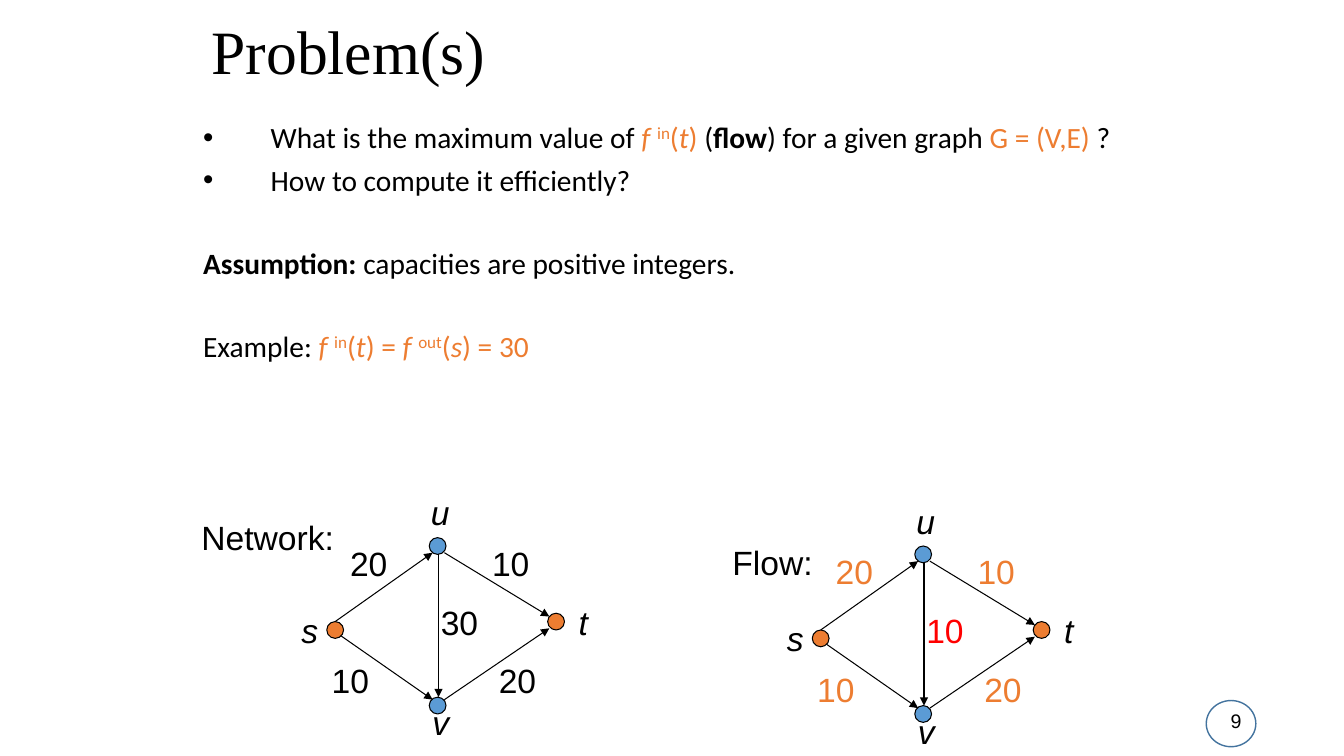
import pptx
import pptx.util
import pptx.dml.color
import pptx.enum.shapes
import pptx.enum.text
import pptx.oxml

BLACK, ORANGE, BLUE, RED, RING = "000000", "ED7D31", "5B9BD5", "FF0000", "43739E"
COLUMNS, ROWS = 160, 90
ARIAL = {"name": "Arial", "size": 24}
CALIBRI = {"name": "Calibri", "size": 21}
MATH = {"color": ORANGE}
VAR = {"color": ORANGE, "italic": True}
SUP = {"color": ORANGE, "raised": 30000}
BOLD = {"bold": True}

TITLE = [("Problem(s)", {"name": "Times New Roman", "size": 44})]
BODY = [
    (True, 0, [("What is the maximum value of ", {}), ("f ", VAR), ("in", SUP),
               ("(", MATH), ("t", VAR), (") ", MATH), ("(", {}), ("flow", BOLD),
               (") for a given graph ", {}), ("G = (V,E)", MATH), (" ?", {})]),
    (True, 7.5, [("How to compute it efficiently?", {})]),
    (False, 37, [("Assumption:", BOLD), (" capacities are positive integers.", {})]),
    (False, 36.5, [("Example: ", {}), ("f ", VAR), ("in", SUP), ("(", MATH), ("t", VAR),
                   (") = ", MATH), ("f ", VAR), ("out", SUP), ("(", MATH), ("s", VAR),
                   (") = 30", MATH)]),
]

NODES = {"s": (0, 10, ORANGE), "u": (12.2, 0, BLUE),
         "t": (26.3, 9, ORANGE), "v": (12.2, 19, BLUE)}
NAMES = {"s": (-4.2, 8, 4.4), "u": (11.2, -6, 4.7),
         "t": (28.8, 7, 3.5), "v": (11.4, 19, 4.4)}
EDGES = {
    "su": ((1, 10, 12.6, 1.8), (1.6, 0)),
    "ut": ((14, 1.8, 26.5, 9.4), (18.5, 0)),
    "sv": ((1.7, 11.7, 12.6, 19.3), (-0.6, 14)),
    "vt": ((14, 19.3, 26.5, 10.8), (19.3, 14)),
    "uv": ((13.3, 2, 13.3, 19), (12.4, 7)),
}
GRAPHS = [
    ("Network:", (22.8, 60.9, 18.4, 6.1), (38.9, 64),
     {"su": ("20", BLACK), "ut": ("10", BLACK), "sv": ("10", BLACK),
      "vt": ("20", BLACK), "uv": ("30", BLACK)}),
    ("Flow:", (86, 63.9, 12, 6), (96.7, 65),
     {"su": ("20", ORANGE), "ut": ("10", ORANGE), "sv": ("10", ORANGE),
      "vt": ("20", ORANGE), "uv": ("10", RED)}),
]

prs = pptx.Presentation()
prs.slide_width, prs.slide_height = pptx.util.Inches(13.33), pptx.util.Inches(7.5)
s = prs.slides.add_slide(prs.slide_layouts[6])


def rgb(value):
    """Turn a hex string into a colour."""
    return pptx.dml.color.RGBColor.from_string(value)


def cells(*box):
    """Turn alternating columns and rows into slide lengths."""
    units = (prs.slide_width / COLUMNS, prs.slide_height / ROWS)
    return [round(n * units[i % 2]) for i, n in enumerate(box)]


def add_xml(parent, tag, **attrs):
    """Append a drawing element with attributes."""
    child = parent.makeelement(pptx.oxml.ns.qn(tag), attrs)
    parent.append(child)
    return child


def add_runs(p, runs, base):
    """Write formatted runs into a paragraph."""
    for text, style in runs:
        r = p.add_run()
        r.text = text
        look = {"color": BLACK, **base, **style}
        r.font.color.rgb = rgb(look.pop("color"))
        raised = look.pop("raised", None)
        look["size"] = pptx.util.Pt(look["size"])
        for key, value in look.items():
            setattr(r.font, key, value)
        if raised:
            r.font._element.set("baseline", str(raised))


def add_text(box, runs=(), base=ARIAL, wrap=False, **paragraph):
    """Add a middle-anchored text box and return its frame."""
    tf = s.shapes.add_textbox(*cells(*box)).text_frame
    tf.word_wrap = wrap
    tf.vertical_anchor = pptx.enum.text.MSO_ANCHOR.MIDDLE
    if not wrap:
        tf.auto_size = pptx.enum.text.MSO_AUTO_SIZE.SHAPE_TO_FIT_TEXT
    p = tf.paragraphs[0]
    for key, value in paragraph.items():
        setattr(p, key, value)
    add_runs(p, runs, base)
    return tf


def add_circle(box, fill, line, weight):
    """Add an outlined ellipse, hollow when it has no fill."""
    sp = s.shapes.add_shape(pptx.enum.shapes.MSO_SHAPE.OVAL, *cells(*box))
    sp.shadow.inherit = False
    if fill:
        sp.fill.solid()
        sp.fill.fore_color.rgb = rgb(fill)
    else:
        sp.fill.background()
    sp.line.color.rgb = rgb(line)
    sp.line.width = pptx.util.Pt(weight)


def add_arrow(ends):
    """Add a thin black arrow between two points."""
    sp = s.shapes.add_connector(pptx.enum.shapes.MSO_CONNECTOR.STRAIGHT, *cells(*ends))
    sp.line.color.rgb = rgb(BLACK)
    sp.line.width = pptx.util.Pt(0.75)
    add_xml(sp.line._get_or_add_ln(), "a:tailEnd", type="triangle")
    add_xml(sp._element.spPr, "a:effectLst")


def add_body():
    """Add the questions, the assumption and the example."""
    tf = add_text((23, 14.1, 113, 47), wrap=True)
    tf.vertical_anchor = pptx.enum.text.MSO_ANCHOR.TOP
    for i, (bullet, before, runs) in enumerate(BODY):
        p = tf.add_paragraph() if i else tf.paragraphs[0]
        p.line_spacing = 0.9
        p.space_before = pptx.util.Pt(before)
        if bullet:
            indent = pptx.util.Inches(0.67)
            pPr = p._p.get_or_add_pPr()
            pPr.set("marL", str(indent))
            pPr.set("indent", str(-indent))
            add_xml(pPr, "a:buFont", typeface="Arial")
            add_xml(pPr, "a:buChar", char="•")
        add_runs(p, runs, CALIBRI)


def add_graph(caption, caption_box, origin, values):
    """Add one captioned graph with its nodes, edges and labels."""
    x, y = origin
    for dx, dy, fill in NODES.values():
        add_circle((x + dx, y + dy, 2, 2), fill, BLACK, 0.75)
    for edge, ((x1, y1, x2, y2), (dx, dy)) in EDGES.items():
        add_arrow((x + x1, y + y1, x + x2, y + y2))
        value, color = values[edge]
        add_text((x + dx, y + dy, 6.9, 6), [(value, {"color": color})])
    for name, (dx, dy, width) in NAMES.items():
        add_text((x + dx, y + dy, width, 6), [(name, {"italic": True})])
    add_text(caption_box, [(caption, {})])


add_circle((143.6, 83.4, 5.9, 5.5), None, RING, 1)
add_text((113, 83.4, 36, 4.8), [("9", {"size": 14})], wrap=True,
         alignment=pptx.enum.text.PP_ALIGN.RIGHT)
add_text((24, -1, 110, 15), TITLE, wrap=True, line_spacing=0.9)
add_body()
for graph in GRAPHS:
    add_graph(*graph)
prs.save("out.pptx")
